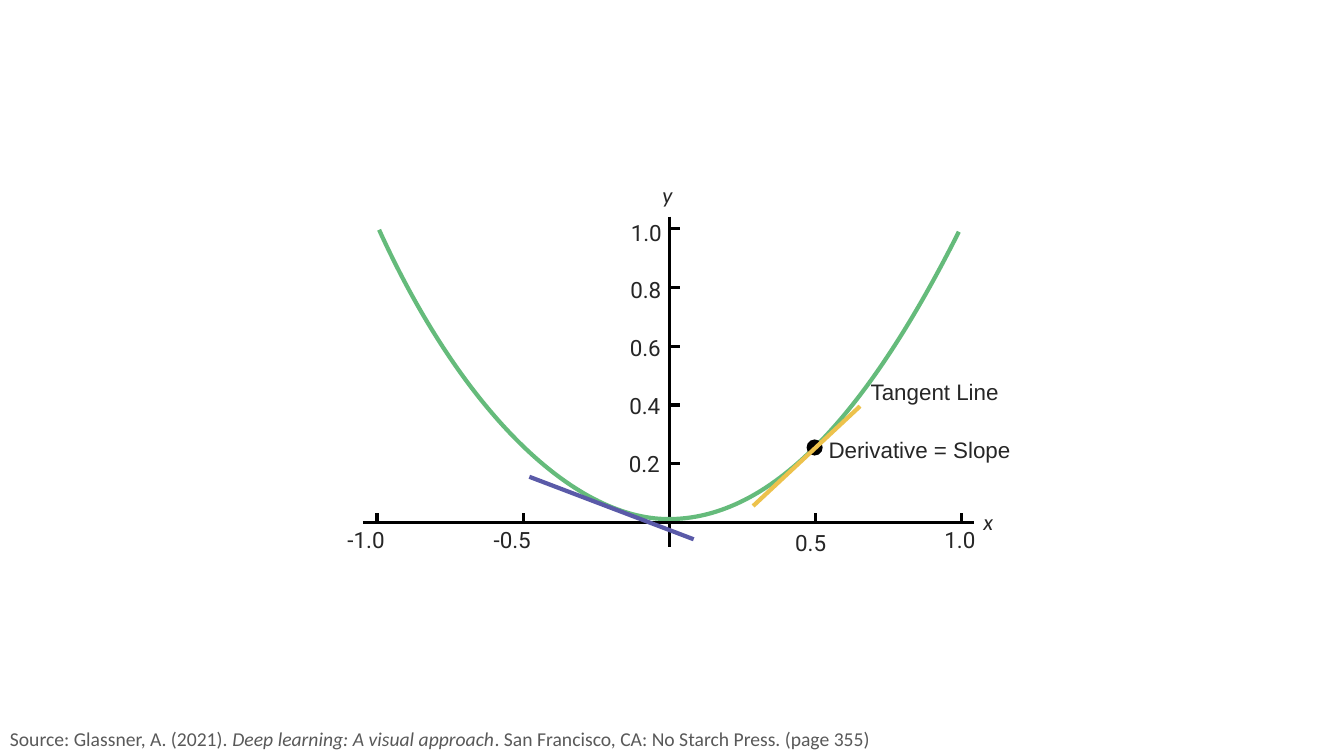
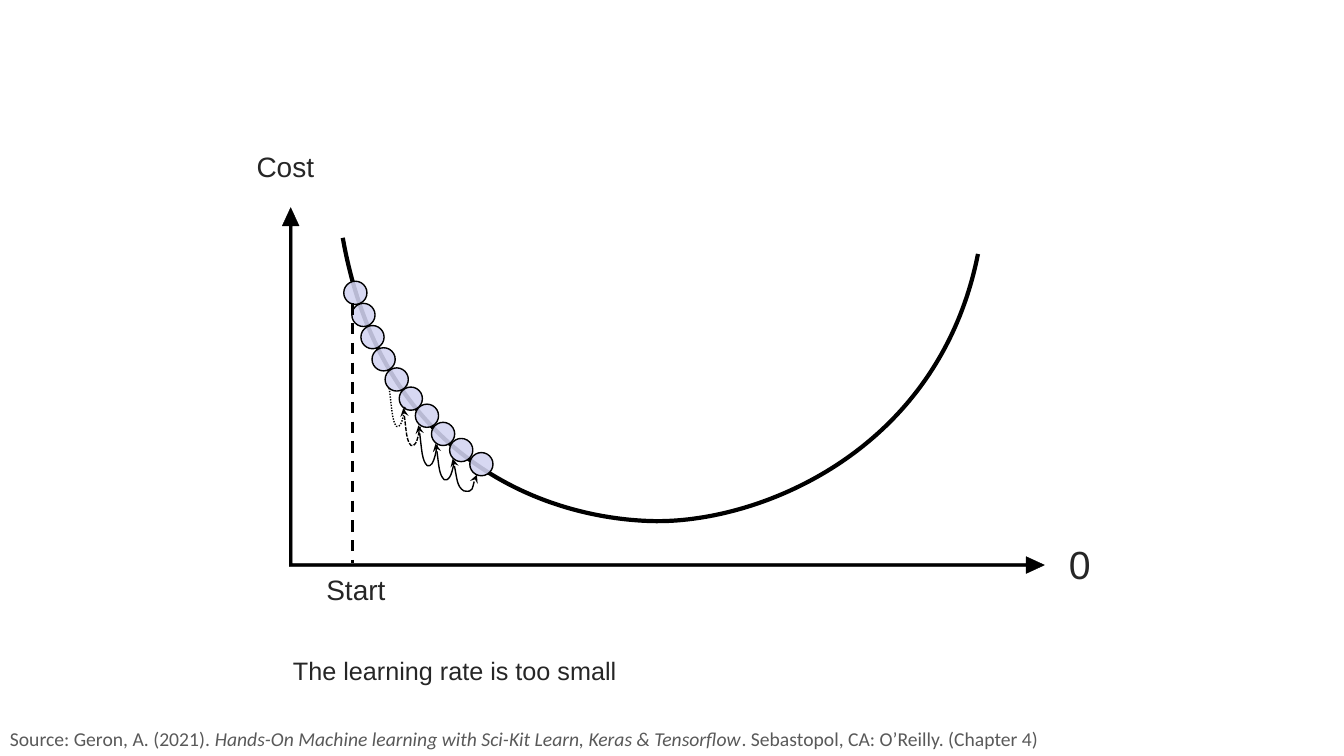
from collections import namedtuple

from pptx import Presentation
from pptx.dml.color import RGBColor
from pptx.enum.dml import MSO_LINE
from pptx.enum.shapes import MSO_CONNECTOR, MSO_SHAPE
from pptx.enum.text import MSO_ANCHOR, MSO_AUTO_SIZE, PP_ALIGN
from pptx.oxml.ns import qn
from pptx.oxml.xmlchemy import OxmlElement
from pptx.util import Pt

SCALE = 9144  # EMU in one px, 100 px to the inch
SLIDE_WIDTH, SLIDE_HEIGHT = 1333, 750
COLORS = {
    "ink": "000000",
    "label": "262626",
    "source": "595959",
    "parabola": "65BB7B",
    "falling": "5A5AA8",
    "rising": "EDC24C",
    "ball": "D2D3F1",
}
Box = namedtuple("Box", "left top width height")


def px(value):
    return round(value * SCALE)


def color(name):
    return RGBColor.from_string(COLORS[name])


# Shared drawing helpers
def style_line(line, name, width, dash=None):
    line.color.rgb = color(name)
    line.width = Pt(width)
    if dash:
        line.dash_style = dash


def add_line(slide, start, end, name="ink", width=2.25, dash=None):
    connector = slide.shapes.add_connector(
        MSO_CONNECTOR.STRAIGHT, *map(px, (*start, *end)))
    style_line(connector.line, name, width, dash)
    connector._element.spPr.append(OxmlElement("a:effectLst"))


def add_preset(slide, preset, box, fill, outline=None):
    shape = slide.shapes.add_shape(preset, *map(px, box))
    shape.shadow.inherit = False
    shape.fill.solid()
    shape.fill.fore_color.rgb = color(fill)
    if outline:
        style_line(shape.line, "ink", outline)
    else:
        shape.line.fill.background()
    return shape


def add_curve(slide, points, origin, name, width, dash=None):
    """Draw two joined cubic curves given by seven points around an origin."""
    placed = [(px(origin[0] + x), px(origin[1] + y)) for x, y in points]
    builder = slide.shapes.build_freeform(*placed[0])
    builder.add_line_segments(placed[1:], close=False)
    shape = builder.convert_to_shape()

    # Join each three straight segments into one cubic curve
    outline = next(shape._element.iter(qn("a:path")))
    segments = outline.findall(qn("a:lnTo"))
    for first in range(0, len(segments), 3):
        cubic = OxmlElement("a:cubicBezTo")
        for segment in segments[first:first + 3]:
            cubic.append(segment[0])
            outline.remove(segment)
        outline.append(cubic)

    shape.shadow.inherit = False
    shape.fill.background()
    style_line(shape.line, name, width, dash)
    return shape


def add_arrowheads(shape, tags):
    outline = shape._element.spPr.find(qn("a:ln"))
    for tag in tags:
        arrowhead = OxmlElement(tag)
        arrowhead.set("type", "stealth")
        outline.append(arrowhead)


def add_text(slide, box, runs, size, font, name, align=PP_ALIGN.LEFT, spacing=1):
    """Write one paragraph from (text, italic) runs."""
    text_frame = slide.shapes.add_textbox(*map(px, box)).text_frame
    text_frame.word_wrap = True
    text_frame.vertical_anchor = MSO_ANCHOR.TOP
    paragraph = text_frame.paragraphs[0]
    paragraph.alignment = align
    if spacing != 1:
        paragraph.line_spacing = spacing
    for text, italic in runs:
        run = paragraph.add_run()
        run.text = text
        run.font.size = Pt(size)
        run.font.name = font
        run.font.italic = italic
        run.font.color.rgb = color(name)
    return text_frame


def add_label(slide, text, center, top, size=16, font="Arial", spacing=0.9,
              italic=False, width=232, height=35):
    box = Box(center - width / 2, top, width, height)
    add_text(slide, box, [(text, italic)], size, font, "label",
             PP_ALIGN.CENTER, spacing)


def add_source(slide, before, title, after):
    box = Box(0, 716, SLIDE_WIDTH, 34)
    text_frame = add_text(
        slide, box, [(before, False), (title, True), (after, False)],
        14, "Calibri", "source")
    text_frame.auto_size = MSO_AUTO_SIZE.SHAPE_TO_FIT_TEXT


# Parabola with its tangent lines
def draw_tangent_plot(slide, box):
    x0, y0 = box.left + 304, box.top + 303
    tick_x, tick_y = 145, 58.25

    # Vertical axis, ticks and names
    add_line(slide, (x0, box.top), (x0, box.top + box.height))
    for index, text in enumerate(("0.2", "0.4", "0.6", "0.8", "1.0")):
        y = y0 - 58 - tick_y * index
        add_line(slide, (x0 + 10, y), (x0, y))
        add_label(slide, text, x0 - 25 + index / 2, y0 - 76 - 57.5 * index,
                  font="Roboto", spacing=1)

    # Horizontal ticks and names
    for step, text, shift, spacing in ((-2, "-1.0", -11, 0.9), (-1, "-0.5", -11, 0.9),
                                       (1, "0.5", -5, 1), (2, "1.0", -2, 0.9)):
        x = x0 + step * tick_x
        add_line(slide, (x, y0 - 9), (x, y0))
        add_label(slide, text, x + shift, y0 + 2, font="Roboto", spacing=spacing)
    for text, dx, dy in (("y", -2, -343), ("x", 316, -19)):
        add_label(slide, text, x0 + dx, y0 + dy, font="Calibri",
                  spacing=1, italic=True)

    # Curve, horizontal axis and point of contact
    parabola = [(-288, -290), (-207, -112), (-96, -3), (-1, -3),
                (94, -3), (188, -91), (287, -288)]
    add_curve(slide, parabola, (x0, y0), "parabola", 3)
    add_line(slide, (box.left, y0), (box.left + box.width, y0))
    add_preset(slide, MSO_SHAPE.OVAL, Box(x0 + 136, y0 - 82, 16, 16), "ink")

    # Tangents and their names
    add_line(slide, (x0 - 139, y0 - 45), (x0 + 24, y0 + 17), "falling", 3)
    add_line(slide, (x0 + 189, y0 - 115), (x0 + 83, y0 - 16), "rising", 3)
    add_label(slide, "Tangent Line", x0 + 263, y0 - 145, width=165)
    add_label(slide, "Derivative = Slope", x0 + 248, y0 - 87, width=223)


# Cost curve with small descent steps
def draw_descent_plot(slide, box):
    left, top = box.left, box.top
    axes = add_preset(slide, MSO_SHAPE.LEFT_UP_ARROW, box, "ink", 0.25)
    axes._element.spPr.get_or_add_xfrm().set("flipH", "1")
    for index, value in enumerate((0.008, 0.023, 0.05)):
        axes.adjustments[index] = value

    cost_curve = [(60, 30), (99, 250), (261, 308), (366, 311),
                  (471, 314), (651, 243), (690, 46)]
    add_curve(slide, cost_curve, (left, top), "ink", 3)

    # Balls rolling down the curve
    balls = [(61, 73), (69, 95), (78, 117), (89, 139), (102, 159),
             (116, 178), (132, 195), (148, 213), (166, 229), (186, 243)]
    for x, y in balls:
        ball = add_preset(slide, MSO_SHAPE.OVAL, Box(left + x, top + y, 23, 23),
                          "ball", 1)
        alpha = OxmlElement("a:alpha")
        alpha.set("val", "88000")
        ball._element.spPr.find(qn("a:solidFill"))[0].append(alpha)
    add_line(slide, (left + 70, top + 95), (left + 70, top + 353),
             width=2, dash=MSO_LINE.DASH)

    # Hops between the balls, one outline stretched to each size
    outline = [(0, 0), (0.17, 0.48), (0.17, 0.87), (0.46, 1),
               (0.88, 1.07), (0.94, 0.45), (1, 0.5)]
    head, tail = "a:headEnd", "a:tailEnd"
    hops = [(Box(135, 216, 19, 40), None, (head,)),
            (Box(152, 234, 19, 36), None, (head,)),
            (Box(169, 249, 24, 32), None, (head, tail)),
            (Box(120, 199, 17, 37), MSO_LINE.SQUARE_DOT, (head,)),
            (Box(106, 179, 16, 38), MSO_LINE.ROUND_DOT, ())]
    for hop, dash, arrowheads in hops:
        points = [(x * hop.width, y * hop.height) for x, y in outline]
        shape = add_curve(slide, points, (left + hop.left, top + hop.top),
                          "ink", 1, dash)
        add_arrowheads(shape, arrowheads)

    # Names and caption
    for text, x, y, size in (("Cost", 3, -59, 20), ("Start", 73, 361, 20),
                             ("0", 791, 330, 28)):
        add_label(slide, text, left + x, top + y, size, width=165, height=65)
    add_label(slide, "The learning rate is too small", left + 171, top + 445,
              18, spacing=0.8, width=429)


def main():
    presentation = Presentation()
    presentation.slide_width = px(SLIDE_WIDTH)
    presentation.slide_height = px(SLIDE_HEIGHT)
    blank = presentation.slide_layouts[6]

    slide = presentation.slides.add_slide(blank)
    add_source(slide, "Source: Glassner, A. (2021). ",
               "Deep learning: A visual approach",
               ". San Francisco, CA: No Starch Press. (page 355)")
    draw_tangent_plot(slide, Box(360, 215, 606, 328))

    slide = presentation.slides.add_slide(blank)
    add_source(slide, "Source: Geron, A. (2021). ",
               "Hands-On Machine learning with Sci-Kit Learn, Keras & Tensorflow",
               ". Sebastopol, CA: O’Reilly. (Chapter 4)")
    draw_descent_plot(slide, Box(280, 206, 756, 363))

    presentation.save("out.pptx")


if __name__ == "__main__":
    main()
